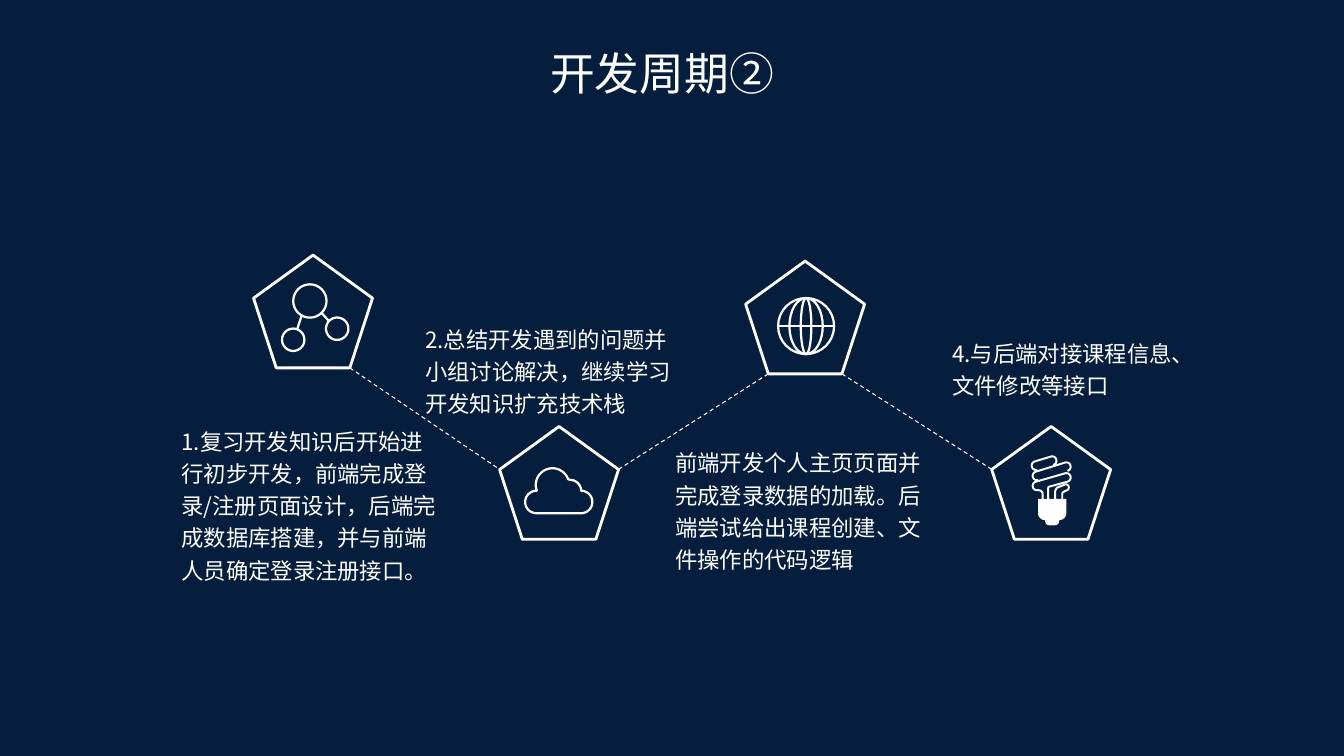
from math import cos, sin, radians

from lxml.etree import SubElement
from pptx import Presentation
from pptx.dml.color import RGBColor as Rgb
from pptx.enum.dml import MSO_LINE as Dash
from pptx.enum.shapes import MSO_CONNECTOR as Link, MSO_SHAPE as Kind
from pptx.enum.text import MSO_ANCHOR as Anchor, PP_ALIGN as Align
from pptx.oxml.ns import qn
from pptx.util import Pt

COLORS = {"navy": "051E3D", "white": "FFFFFF"}
FONT = "Noto Sans CJK SC"
WIDE, HIGH = 85, 80.6
LEFT, STEP = 181.1, 175.75


def tint(name):
    return Rgb.from_string(COLORS[name])


def write(frame, text, size=16, align=Align.LEFT, space=1.0, inset=(5, 3),
          anchor=Anchor.TOP):
    frame.word_wrap = True
    frame.vertical_anchor = anchor
    frame.margin_left = frame.margin_right = Pt(inset[0])
    frame.margin_top = frame.margin_bottom = Pt(inset[1])
    para = frame.paragraphs[0]
    para.alignment = align
    para.line_spacing = space
    para._p.get_or_add_pPr().set("hangingPunct", "0")
    run = para.add_run()
    run.text = text
    run.font.size = Pt(size)
    run.font.name = FONT
    run.font.color.rgb = tint("white")
    SubElement(run.font._element, qn("a:ea"), typeface=FONT)


def style(shape, width=1.6, solid=False):
    shape.shadow.inherit = False
    if solid:
        shape.fill.solid()
        shape.fill.fore_color.rgb = tint("white")
        shape.line.fill.background()
    else:
        shape.fill.background()
        shape.line.color.rgb = tint("white")
        shape.line.width = Pt(width)


def line(slide, x1, y1, x2, y2, width=0.75):
    link = slide.shapes.add_connector(Link.STRAIGHT, Pt(x1), Pt(y1), Pt(x2), Pt(y2))
    link.line.color.rgb = tint("white")
    link.line.width = Pt(width)
    link.line.dash_style = Dash.DASH
    SubElement(link._element.spPr, qn("a:effectLst"))


def arc(x, y, r, start, end, tall=None):
    turns = [radians(start + (end - start) * i / 32) for i in range(33)]
    return [(x + r * cos(t), y + (tall or r) * sin(t)) for t in turns]


def ring(x, y, r, tall=None):
    return arc(x, y, r, 0, 360, tall)


def trace(slide, x, y, *paths, close=True, width=1.6, solid=False):
    pen = None
    for dots in paths:
        spots = [(Pt(x + a), Pt(y + b)) for a, b in dots]
        if pen is None:
            pen = slide.shapes.build_freeform(*spots[0])
        else:
            pen.move_to(*spots[0])
        pen.add_line_segments(spots[1:], close=close)
    style(pen.convert_to_shape(), width, solid)


def atom(slide, x, y):
    trace(slide, x, y, ring(40.3, 32.8, 11.9), ring(28.4, 60.5, 8),
          ring(59.8, 52.6, 8), [(34.2, 43.9), (31.3, 52.8)],
          [(48.7, 41.4), (53.8, 47)])


def cloud(slide, x, y):
    trace(slide, x, y, arc(58.3, 54, 8, 90, -90) + arc(50.4, 46.1, 7.9, 0, -90)
          + arc(37.8, 41.8, 11.9, -20, -200) + arc(26.3, 54, 8, -90, -270))


def globe(slide, x, y):
    rings = [ring(43.2, 46.4, r, 20) for r in (20, 11.9, 3.8)]
    trace(slide, x, y, *rings, [(23.2, 46.4), (63.2, 46.4)])


def tube(x1, y1, x2, y2):
    return arc(x1, y1, 3.1, 74, 254) + arc(x2, y2, 3.1, 254, 434)


def bulb(slide, x, y):
    base = 51.8
    top, mid = tube(31.7, 28, 43.2, 24.5), tube(32.4, 35.3, 53.3, 28.8)
    coil = ([(36.4, base), (36.4, 47.5), (35.2, 46)] + tube(32.4, 42.5, 53.3, 36.5)
            + [(40.6, 43.2), (40.3, 44.5), (40.3, base)])
    hook = ([(45.4, base), (45.4, 46), (46.5, 43.9)] + arc(52.9, 43.6, 2.2, 254, 434)
            + [(50.6, 47.2), (50.4, 48.5), (50.4, base)])
    trace(slide, x, y, top, mid, coil, hook, close=False, width=1.4)
    cap = ([(33.1, base), (53.3, base)] + arc(48.3, 61.9, 5, 0, 90)
           + arc(45.2, 67.6, 3, 0, 90) + arc(41.2, 67.6, 3, 90, 180)
           + arc(38.1, 61.9, 5, 90, 180))
    trace(slide, x, y, cap, solid=True)


def stage(slide, x, y, icon, text, dx, dy, high):
    frame = slide.shapes.add_shape(Kind.REGULAR_PENTAGON, Pt(x), Pt(y), Pt(WIDE), Pt(HIGH))
    style(frame, width=2)
    icon(slide, x, y)
    box = slide.shapes.add_textbox(Pt(x + dx), Pt(y + dy), Pt(198), Pt(high))
    write(box.text_frame, text, space=1.2)


def join(slide, x, y, below):
    foot, side = 0.19 * WIDE, 0.38 * HIGH
    ends = (x + WIDE - foot, y + HIGH, x + STEP, below + side)
    if y > below:
        ends = (x + WIDE, y + side, x + STEP + foot, below + HIGH)
    line(slide, *ends)


def head(slide, x, y, w, h):
    title = slide.shapes.title
    title.left, title.top, title.width, title.height = Pt(x), Pt(y), Pt(w), Pt(h)
    write(title.text_frame, "开发周期②", size=32, align=Align.CENTER, inset=(7.2, 3.6),
          anchor=Anchor.MIDDLE)


def cycle(slide, x):
    steps = [
        (182.2, atom, "1.复习开发知识后开始进行初步开发，前端完成登录/注册页面设计，后端完成数据库搭建，并与前端人员确定登录注册接口。",
         -56.5, 116.6, 119.5),
        (304.6, cloud, "2.总结开发遇到的问题并小组讨论解决，继续学习开发知识扩充技术栈",
         -58.1, -78.5, 73.4),
        (186.5, globe, "前端开发个人主页页面并完成登录数据的加载。后端尝试给出课程创建、文件操作的代码逻辑",
         -55.3, 127.8, 96.5),
        (304.6, bulb, "4.与后端对接课程信息、文件修改等接口", -33.1, -68.4, 49.7),
    ]
    for i, (y, *parts) in enumerate(steps):
        stage(slide, x + i * STEP, y, *parts)
    for i, (here, after) in enumerate(zip(steps, steps[1:])):
        join(slide, x + i * STEP, here[0], after[0])


def main():
    deck = Presentation()
    deck.slide_width, deck.slide_height = Pt(960), Pt(540)
    slide = deck.slides.add_slide(deck.slide_layouts[5])
    slide.background.fill.solid()
    slide.background.fill.fore_color.rgb = tint("navy")
    head(slide, 200.2, 28.9, 545.8, 46.1)
    cycle(slide, LEFT)
    deck.save("out.pptx")


if __name__ == "__main__":
    main()
